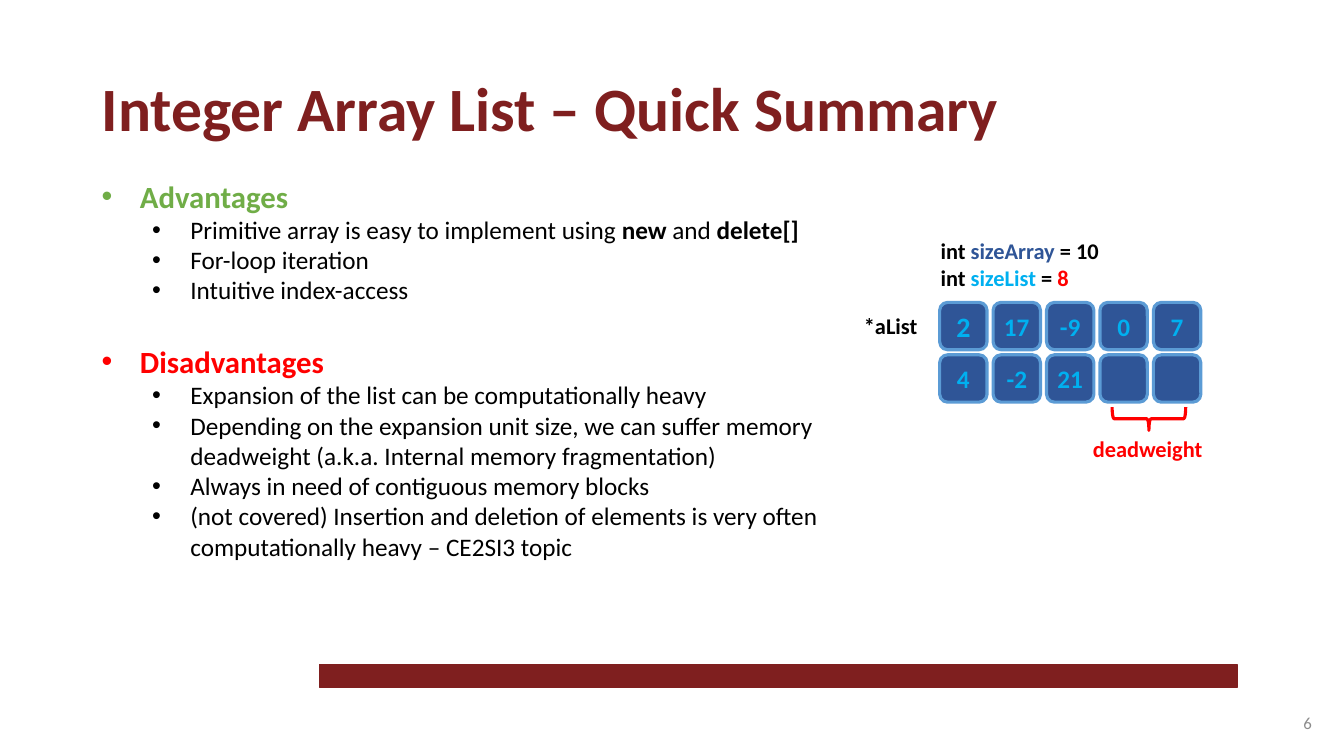
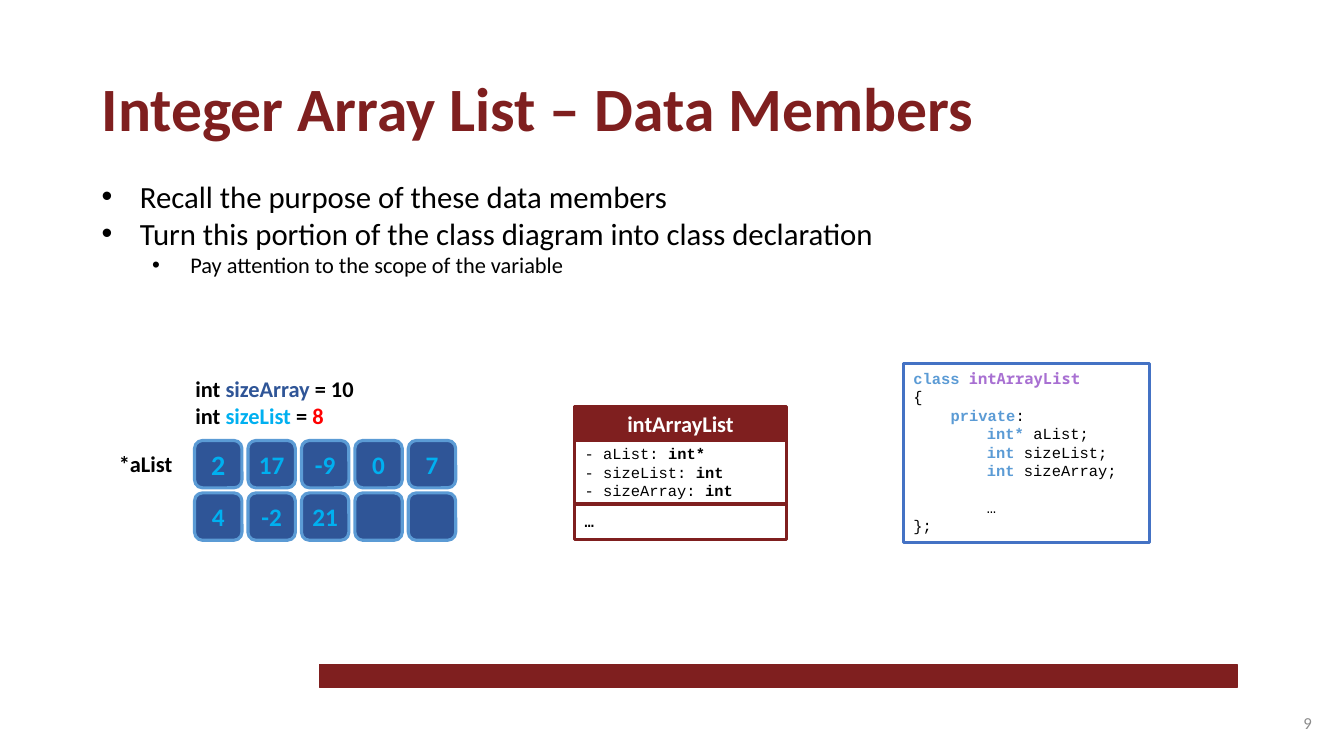
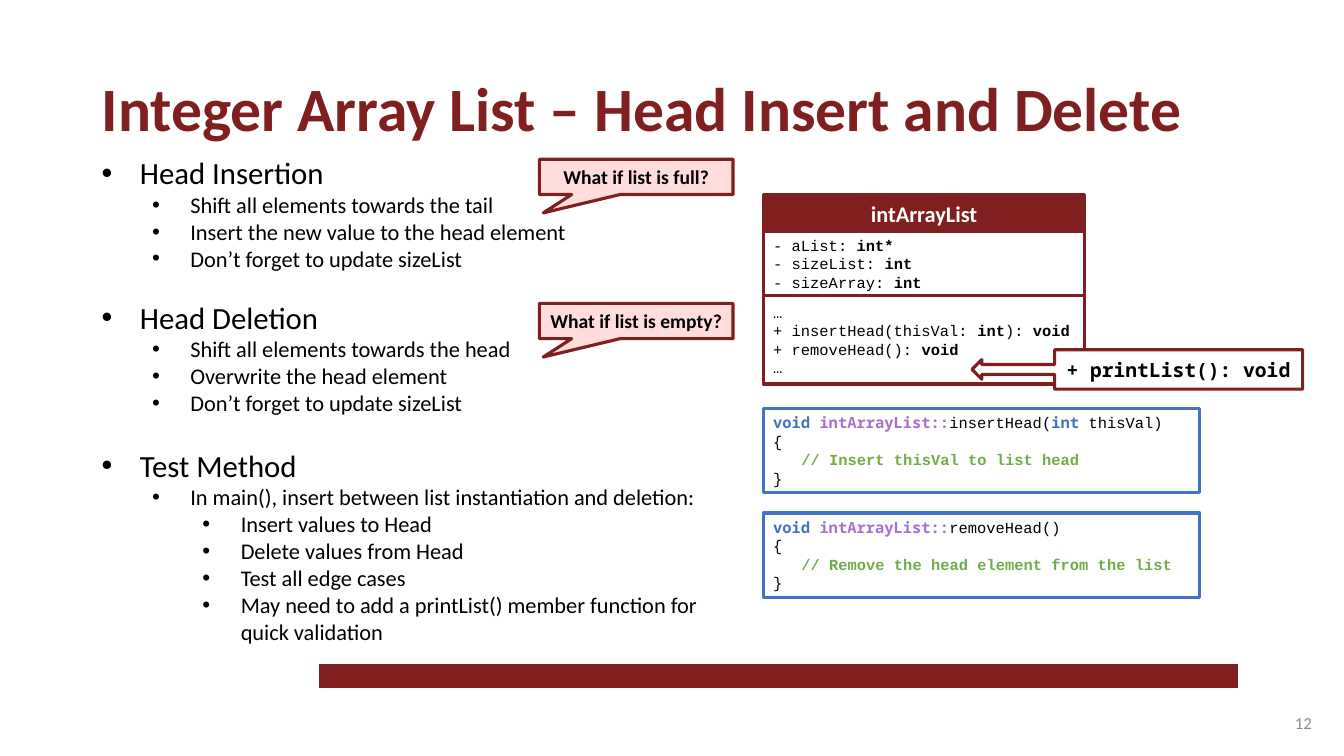
"""Build three slides about an integer array list."""
from dataclasses import dataclass

from lxml import etree
from pptx import Presentation, util as u
from pptx.dml.color import RGBColor
from pptx.enum import shapes, text
from pptx.oxml.ns import qn

PX = 9144
MAROON = RGBColor(0x7F, 0x1F, 0x1F)
PINK = RGBColor(0xFF, 0xDD, 0xDD)
NAVY = RGBColor(0x2F, 0x55, 0x97)
BLUE = RGBColor(0x44, 0x72, 0xC4)
SKY = RGBColor(0x5B, 0x9B, 0xD5)
CYAN = RGBColor(0x00, 0xB0, 0xF0)
GREEN = RGBColor(0x70, 0xAD, 0x47)
RED = RGBColor(0xFF, 0x00, 0x00)
PURPLE = RGBColor(0xA8, 0x70, 0xD2)
GREY = RGBColor(0x8C, 0x8C, 0x8C)
BLACK = RGBColor(0x00, 0x00, 0x00)
WHITE = RGBColor(0xFF, 0xFF, 0xFF)

BODY = "Calibri"
CODE = "Courier New"
MONO = "Noto Sans Mono"
SHAPE = shapes.MSO_SHAPE
LEFT, CENTER, RIGHT = text.PP_ALIGN.LEFT, text.PP_ALIGN.CENTER, text.PP_ALIGN.RIGHT
TOP, MIDDLE = text.MSO_ANCHOR.TOP, text.MSO_ANCHOR.MIDDLE

BULLET_HANG = 38
LEVEL_STEP = 50
CELL = 47
COLUMN_PITCH = 53
ROW_PITCH = 52
COLUMNS = 5
VALUES = ("2", "17", "-9", "0", "7", "4", "-2", "21", "", "")
FIELDS_HEIGHT = 63
CODE_LINE = 13


@dataclass(frozen=True)
class Span:
    """A stretch of text in one format."""
    words: str
    color: RGBColor = BLACK
    bold: bool = False
    face: str = ""


@dataclass(frozen=True)
class Line:
    """A paragraph with its layout."""
    spans: tuple[Span, ...]
    size: int = 16
    face: str = BODY
    align: int = LEFT
    indent: int = 0
    level: int = 0
    bullet: bool = False
    before: int = 0


@dataclass(frozen=True)
class Box:
    """A rectangle in px."""
    left: int
    top: int
    width: int
    height: int

    def emu(self) -> tuple[int, ...]:
        """Return the rectangle in EMU."""
        return tuple(n * PX for n in (self.left, self.top, self.width, self.height))


def write(para, words: str, *, size: int, face: str, color: RGBColor, bold: bool) -> None:
    """Add a run of text in the given format."""
    run = para.add_run()
    run.text = words
    run.font.size = u.Pt(size)
    run.font.name = face
    run.font.color.rgb = color
    run.font.bold = bold


def set_bullet(para) -> None:
    """Give a paragraph a round bullet."""
    props = para._p.get_or_add_pPr()
    etree.SubElement(props, qn("a:buFont")).set("typeface", "Arial")
    etree.SubElement(props, qn("a:buChar")).set("char", "•")


def fill_frame(frame, lines: list[Line], anchor=TOP, wrap: bool = True) -> None:
    """Write lines into a text frame."""
    frame.word_wrap = wrap
    frame.vertical_anchor = anchor
    for index, line in enumerate(lines):
        para = frame.add_paragraph() if index else frame.paragraphs[0]
        para.alignment = line.align
        para.level = line.level
        para.space_before = u.Pt(line.before)
        props = para._p.get_or_add_pPr()
        props.set("marL", str(line.indent * PX))
        props.set("indent", str(-BULLET_HANG * PX if line.bullet else 0))
        if line.bullet:
            set_bullet(para)
        for span in line.spans:
            write(para, span.words, size=line.size, face=span.face or line.face,
                  color=span.color, bold=span.bold)


def add_text(page, box: Box, lines: list[Line], anchor=TOP) -> None:
    """Add a text box."""
    fill_frame(page.shapes.add_textbox(*box.emu()).text_frame, lines, anchor)


def add_block(page, kind, box: Box, lines: list[Line] = (), *, fill: RGBColor | None = None,
              line: RGBColor = MAROON, weight: float = 2.25, anchor=MIDDLE,
              wrap: bool = True, adjust: tuple[float, ...] = ()):
    """Add a preset shape with its text."""
    block = page.shapes.add_shape(kind, *box.emu())
    block.shadow.inherit = False
    if fill is None:
        block.fill.background()
    else:
        block.fill.solid()
        block.fill.fore_color.rgb = fill
    block.line.color.rgb = line
    block.line.width = u.Pt(weight)
    for index, value in enumerate(adjust):
        block.adjustments[index] = value
    if lines:
        fill_frame(block.text_frame, lines, anchor, wrap)
    return block


def bold_line(words: str, color: RGBColor = BLACK, **layout) -> Line:
    """Return a line of bold text."""
    return Line((Span(words, color, True),), **layout)


def bullet(level: int, size: int, *spans: Span | str, before: int = 0) -> Line:
    """Return a bulleted line."""
    parts = tuple(Span(s) if isinstance(s, str) else s for s in spans)
    return Line(parts, size, indent=BULLET_HANG + level * LEVEL_STEP, level=level,
                bullet=True, before=before)


def code(*spans: Span | str, indent: int = 0, before: int = 0) -> Line:
    """Return a line of program code."""
    parts = tuple(Span(s) if isinstance(s, str) else s for s in spans)
    return Line(parts, 11, CODE, indent=indent, before=before)


def strong(words: str, color: RGBColor = BLACK, face: str = "") -> Span:
    """Return a bold span."""
    return Span(words, color, True, face)


def start_page(deck, title: str, number: int):
    """Add a slide with its band, title and number."""
    page = deck.slides.add_slide(deck.slide_layouts[6])
    add_block(page, SHAPE.RECTANGLE, Box(317, 659, 910, 23), fill=MAROON, weight=1)
    add_text(page, Box(91, 64, 1101, 84), [bold_line(title, MAROON, size=44)])
    add_text(page, Box(1011, 697, 300, 40),
             [Line((Span(str(number), GREY),), 12, align=RIGHT)], MIDDLE)
    return page


def add_array(page, left: int, top: int) -> None:
    """Draw the array cells with their labels."""
    add_text(page, Box(left - 85, top + 5, 80, 37), [bold_line("*aList")])
    for index, value in enumerate(VALUES):
        row, column = divmod(index, COLUMNS)
        cell = Box(left + column * COLUMN_PITCH, top + row * ROW_PITCH, CELL, CELL)
        lines = [bold_line(value, CYAN, size=18 if index else 20, align=CENTER)] if value else []
        add_block(page, SHAPE.ROUNDED_RECTANGLE, cell, lines, fill=NAVY, line=SKY, wrap=False)
    add_text(page, Box(left - 9, top - 70, 192, 64), [
        Line((strong("int "), strong("sizeArray", NAVY), strong(" = 10"))),
        Line((strong("int "), strong("sizeList", CYAN), strong(" = "), strong("8", RED))),
    ])


def add_class(page, box: Box, header: int, methods: list[Line]) -> None:
    """Draw a class diagram with name, fields and methods."""
    fields = [code(f"- {name}: ", strong(kind)) for name, kind in
              (("aList", "int*"), ("sizeList", "int"), ("sizeArray", "int"))]
    name = [bold_line("intArrayList", WHITE, align=CENTER)]
    rest = box.height - header - FIELDS_HEIGHT
    top = box.top
    for height, lines, fill in ((header, name, MAROON), (FIELDS_HEIGHT, fields, None),
                                (rest, methods, None)):
        add_block(page, SHAPE.RECTANGLE, Box(box.left, top, box.width, height), lines, fill=fill)
        top += height


def add_code(page, box: Box, lines: list[Line]) -> None:
    """Draw a framed code listing."""
    add_block(page, SHAPE.RECTANGLE, box, lines, fill=WHITE, line=BLUE, anchor=TOP)


def add_method(page, top: int, signature: list[Span | str], comment: str) -> None:
    """Draw the outline of a member function."""
    add_code(page, Box(757, top, 433, 84), [
        code(strong("void ", BLUE, MONO), strong("intArrayList::", PURPLE, MONO), *signature),
        code("{"),
        code(strong(comment, GREEN), indent=28),
        code("}"),
    ])


def build_summary(deck) -> None:
    """Build the summary slide."""
    page = start_page(deck, "Integer Array List – Quick Summary", 6)
    add_text(page, Box(91, 171, 736, 454), [
        bullet(0, 22, strong("Advantages", GREEN)),
        bullet(1, 18, "Primitive array is easy to implement using ", strong("new"),
               " and ", strong("delete[]")),
        bullet(1, 18, "For-loop iteration"),
        bullet(1, 18, "Intuitive index-access"),
        bullet(0, 22, strong("Disadvantages", RED), before=27),
        bullet(1, 18, "Expansion of the list can be computationally heavy"),
        bullet(1, 18, "Depending on the expansion unit size, we can suffer memory "
                      "deadweight (a.k.a. Internal memory fragmentation)"),
        bullet(1, 18, "Always in need of contiguous memory blocks"),
        bullet(1, 18, "(not covered) Insertion and deletion of elements is very often "
                      "computationally heavy – CE2SI3 topic"),
    ])
    add_array(page, 932, 300)
    brace = add_block(page, SHAPE.RIGHT_BRACE, Box(1128, 379, 23, 73), line=RED)
    brace.rotation = 90
    add_text(page, Box(1074, 427, 129, 37), [bold_line("deadweight", RED)])


def build_members(deck) -> None:
    """Build the data members slide."""
    page = start_page(deck, "Integer Array List – Data Members", 9)
    add_text(page, Box(91, 171, 1158, 178), [
        bullet(0, 22, "Recall the purpose of these data members"),
        bullet(0, 22, "Turn this portion of the class diagram into class declaration"),
        bullet(1, 16, "Pay attention to the scope of the variable"),
    ])
    add_class(page, Box(570, 403, 210, 132), 34, [code(strong("…"))])
    add_array(page, 193, 437)
    add_code(page, Box(896, 361, 244, 177), [
        code(strong("class ", SKY), strong("intArrayList", PURPLE, MONO)),
        code("{"),
        code(strong("private", SKY), ":", indent=37),
        code(strong("int* ", SKY), "aList;", indent=73),
        code(strong("int ", SKY), "sizeList;", indent=73),
        code(strong("int ", SKY), "sizeArray;", indent=73),
        code("…", indent=73, before=CODE_LINE),
        code("};"),
    ])


def build_head(deck) -> None:
    """Build the head insert and delete slide."""
    page = start_page(deck, "Integer Array List – Head Insert and Delete", 12)
    add_text(page, Box(91, 148, 636, 532), [
        bullet(0, 22, "Head Insertion"),
        bullet(1, 16, "Shift all elements towards the tail"),
        bullet(1, 16, "Insert the new value to the head element"),
        bullet(1, 16, "Don’t forget to update sizeList"),
        bullet(0, 22, "Head Deletion", before=19),
        bullet(1, 16, "Shift all elements towards the head"),
        bullet(1, 16, "Overwrite the head element"),
        bullet(1, 16, "Don’t forget to update sizeList"),
        bullet(0, 22, "Test Method", before=22),
        bullet(1, 16, "In main(), insert between list instantiation and deletion:"),
        bullet(2, 16, "Insert values to Head"),
        bullet(2, 16, "Delete values from Head"),
        bullet(2, 16, "Test all edge cases"),
        bullet(2, 16, "May need to add a printList() member function for quick validation"),
    ])
    for top, question in ((158, "What if list is full?"), (301, "What if list is empty?")):
        add_block(page, SHAPE.RECTANGULAR_CALLOUT, Box(535, top, 192, 35),
                  [bold_line(question, size=14, align=CENTER)], fill=PINK, adjust=(-0.48, 1.02))
    add_class(page, Box(757, 193, 319, 188), 37, [
        code("…"),
        code("+ insertHead(thisVal: ", strong("int"), "): ", strong("void")),
        code("+ removeHead(): ", strong("void")),
        code("…"),
    ])
    add_method(page, 405, ["insertHead(", strong("int ", BLUE, MONO), "thisVal)"],
               "// Insert thisVal to list head")
    add_method(page, 509, ["removeHead()"], "// Remove the head element from the list")
    add_block(page, SHAPE.LEFT_ARROW_CALLOUT, Box(964, 347, 328, 39),
              [bold_line("+ printList(): void", size=14, face=MONO, align=CENTER)],
              fill=WHITE, adjust=(0.25, 0.25, 0.25, 0.75))


def main() -> None:
    """Build and save the deck."""
    deck = Presentation()
    deck.slide_width = 1333 * PX
    deck.slide_height = 750 * PX
    build_summary(deck)
    build_members(deck)
    build_head(deck)
    deck.save("out.pptx")


if __name__ == "__main__":
    main()
